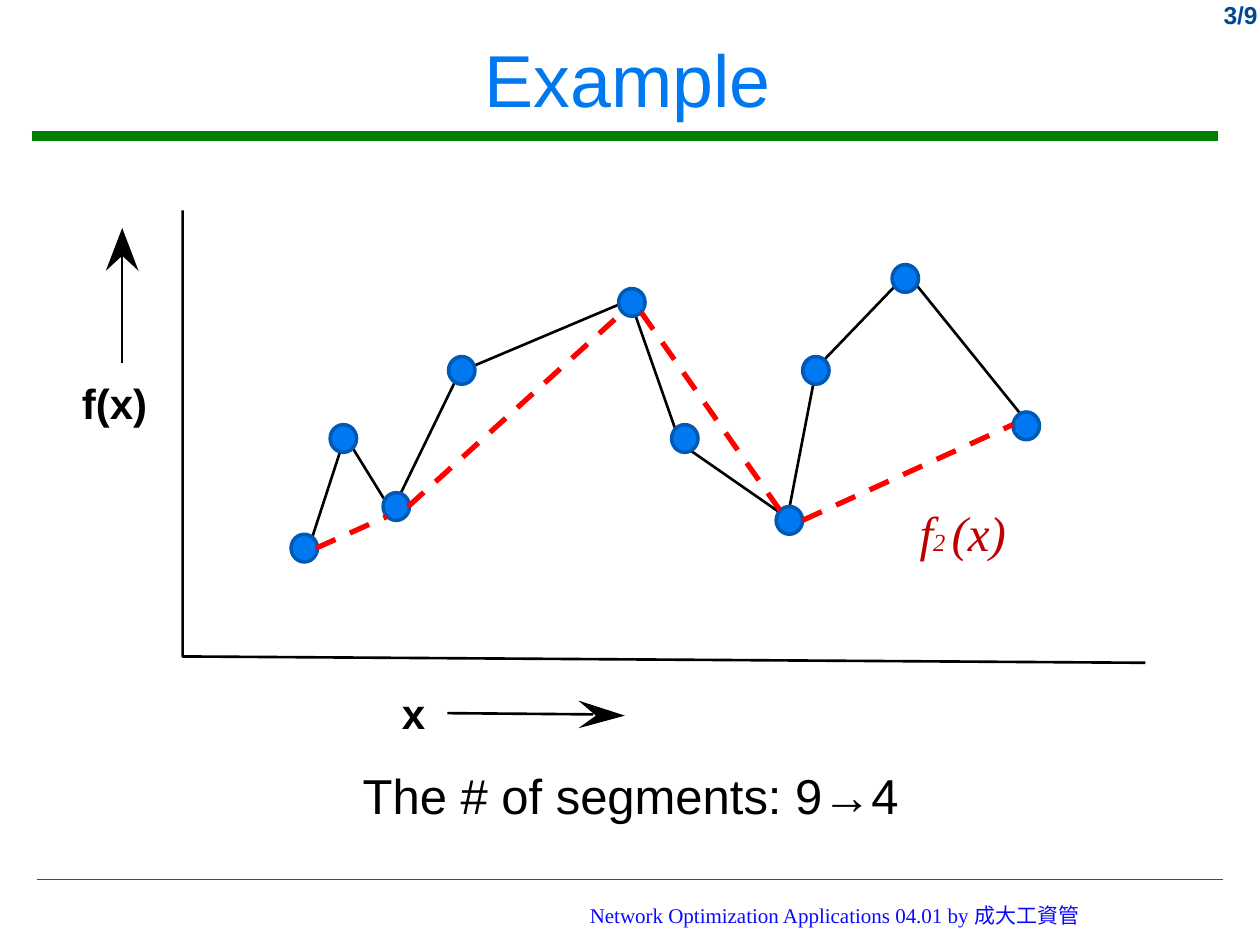
import pptx
import pptx.dml.color
import pptx.enum.dml
import pptx.enum.shapes
import pptx.enum.text
import pptx.oxml.ns
import pptx.util
from lxml import etree
from pptx.util import Inches

COLORS = {
    "rule": "008000", "page": "004992", "title": "0078F0", "footer": "0A0AFF",
    "ink": "000000", "dot": "0078F0", "dot_edge": "0059B2",
    "approx": "FF0000", "label": "C00000",
}
ALIGN = pptx.enum.text.PP_ALIGN
ANCHOR = pptx.enum.text.MSO_ANCHOR

AXES = [(1.45, 1.67), (1.45, 5.21), (9.09, 5.26)]
X_HEAD = [(4.96, 5.68), (4.59, 5.78), (4.73, 5.68), (4.59, 5.56)]
Y_HEAD = [(0.97, 1.81), (1.1, 2.15), (0.97, 2.03), (0.84, 2.15)]
CURVE = [(2.45, 4.35), (2.74, 3.46), (3.11, 4.06), (3.65, 2.95), (5, 2.38),
         (5.4, 3.52), (6.25, 4.11), (6.48, 2.92), (7.2, 2.17), (8.16, 3.36)]
DOT_W, DOT_H = 0.21, 0.22
DOTS = [(2.31, 4.24), (2.62, 3.37), (3.04, 3.91), (3.56, 2.83), (4.91, 2.29),
        (5.33, 3.37), (6.16, 4.02), (6.37, 2.83), (7.08, 2.1), (8.04, 3.27)]
APPROX = [((2.51, 4.35), (3.07, 4.1)), ((3.24, 4.02), (4.94, 2.48)),
          ((6.19, 4.05), (5.09, 2.48)), ((6.37, 4.13), (8.04, 3.37))]


def rgb(name):
    return pptx.dml.color.RGBColor.from_string(COLORS[name])


def set_line(line, color, width):
    line.color.rgb = rgb(color)
    line.width = pptx.util.Pt(width)


def add_line(s, start, end, color, width, dashed=False):
    c = s.shapes.add_connector(pptx.enum.shapes.MSO_CONNECTOR.STRAIGHT,
                               *(Inches(v) for v in (*start, *end)))
    set_line(c.line, color, width)
    if dashed:
        c.line.dash_style = pptx.enum.dml.MSO_LINE.DASH
    etree.SubElement(c._element.spPr, pptx.oxml.ns.qn("a:effectLst"))


def add_path(s, points, filled=False):
    """Draw an open black line, or a closed black shape when filled."""
    pts = [(Inches(x), Inches(y)) for x, y in points]
    builder = s.shapes.build_freeform(*pts[0])
    builder.add_line_segments(pts[1:], close=filled)
    sp = builder.convert_to_shape()
    sp.shadow.inherit = False
    if filled:
        sp.fill.solid()
        sp.fill.fore_color.rgb = rgb("ink")
        sp.line.fill.background()
    else:
        sp.fill.background()
        set_line(sp.line, "ink", 1.5)


def add_dot(s, x, y):
    sp = s.shapes.add_shape(pptx.enum.shapes.MSO_SHAPE.OVAL, Inches(x),
                            Inches(y), Inches(DOT_W), Inches(DOT_H))
    sp.shadow.inherit = False
    sp.fill.solid()
    sp.fill.fore_color.rgb = rgb("dot")
    set_line(sp.line, "dot_edge", 2)


def add_text(s, box, runs, color, font="Arial", align=ALIGN.LEFT,
             anchor=ANCHOR.TOP, wrap=True, inset=True, bold=False,
             italic=False):
    """Add one paragraph; runs is a list of (text, size) pairs."""
    tf = s.shapes.add_textbox(*(Inches(v) for v in box)).text_frame
    tf.word_wrap = wrap
    tf.vertical_anchor = anchor
    if not inset:
        tf.margin_left = tf.margin_right = 0
        tf.margin_top = tf.margin_bottom = 0
    p = tf.paragraphs[0]
    p.alignment = align
    for text, size in runs:
        r = p.add_run()
        r.text = text
        r.font.name = font
        r.font.size = pptx.util.Pt(size)
        r.font.bold = bold
        r.font.italic = italic
        r.font.color.rgb = rgb(color)


def main():
    prs = pptx.Presentation()
    prs.slide_width, prs.slide_height = Inches(10), Inches(7.5)
    s = prs.slides.add_slide(prs.slide_layouts[6])

    # Page frame: rules, page number, title, footer
    add_line(s, (0.25, 1.08), (9.67, 1.08), "rule", 5.25)
    add_line(s, (0.29, 6.98), (9.71, 6.98), "rule", 1)
    add_text(s, (9.17, -0.05, 0.91, 0.33), [("3/9", 14)], "page",
             align=ALIGN.RIGHT, bold=True)
    add_text(s, (0.08, 0.09, 9.8, 1.06), [("Example", 42)], "title",
             align=ALIGN.CENTER, anchor=ANCHOR.MIDDLE)
    add_text(s, (3.43, 7.06, 6.39, 0.4),
             [("Network Optimization Applications 04.01 by 成大工資管", 12)],
             "footer", font="Times New Roman", align=ALIGN.CENTER,
             anchor=ANCHOR.MIDDLE)

    # Axes with their labels and arrows
    add_path(s, AXES)
    add_text(s, (3.19, 5.46, 0.23, 0.46), [("x", 24)], "ink",
             wrap=False, inset=False, bold=True)
    add_path(s, X_HEAD, filled=True)
    add_line(s, (3.55, 5.66), (4.71, 5.67), "ink", 1.5)
    add_path(s, Y_HEAD, filled=True)
    add_line(s, (0.97, 2.88), (0.97, 2.03), "ink", 1.5)
    add_text(s, (0.65, 3, 0.65, 0.46), [("f(x)", 24)], "ink",
             wrap=False, inset=False, bold=True)

    # Piecewise linear function and its breakpoints
    add_path(s, CURVE)
    for x, y in DOTS:
        add_dot(s, x, y)

    # Approximation with fewer segments
    for start, end in APPROX:
        add_line(s, start, end, "approx", 3, dashed=True)
    add_text(s, (7.2, 3.94, 0.89, 0.57), [("f", 28), ("2 ", 14), ("(x)", 28)],
             "label", font="Times New Roman", wrap=False, italic=True)

    # Conclusion
    add_text(s, (2.75, 6.03, 4.51, 0.57), [("The # of segments: 9→4", 28)],
             "ink", align=ALIGN.CENTER, wrap=False)

    prs.save("out.pptx")


if __name__ == "__main__":
    main()
